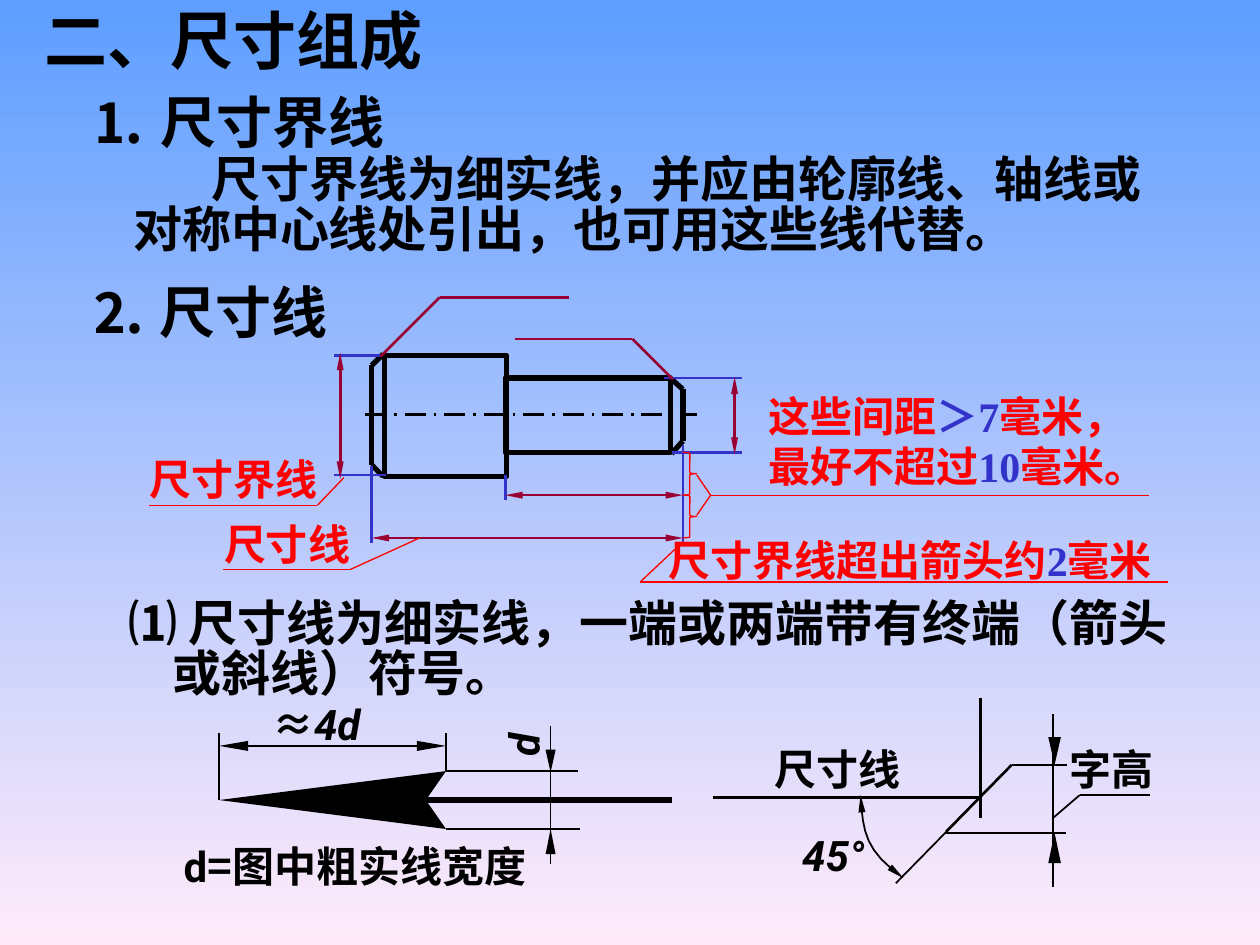
"""Build the slide on dimension lines in technical drawing."""
import itertools
from dataclasses import dataclass

import pptx
import pptx.dml.color
import pptx.enum.dml
import pptx.enum.shapes
import pptx.enum.text
import pptx.oxml
import pptx.oxml.ns
import pptx.util
from lxml import etree

COLS, ROWS = 100, 75
CELL = pptx.util.Inches(10) // COLS
SHAPE = pptx.enum.shapes.MSO_SHAPE
ALIGN = pptx.enum.text.PP_ALIGN
ANCHOR = pptx.enum.text.MSO_ANCHOR
qn = pptx.oxml.ns.qn


@dataclass(frozen=True)
class Theme:
    """Colours, fonts and type sizes."""
    sky: str = "5E9EFF"
    blush: str = "FFEBFA"
    ink: str = "000000"
    note: str = "FF0000"
    extension: str = "3333CC"
    dimension: str = "990033"
    sans: str = "Roboto"
    cjk: str = "Noto Sans CJK SC"
    serif: str = "Times New Roman"
    title: int = 36
    heading: int = 32
    body: int = 28
    label: int = 24
    thin: float = 0.75
    fine: float = 1
    medium: float = 1.5
    thick: float = 3


T = Theme()


def rgb(color):
    """Turn a hex string into a colour."""
    return pptx.dml.color.RGBColor.from_string(color)


def cells(*values):
    """Turn grid units into lengths."""
    return [round(v * CELL) for v in values]


def write(sp, paras, size=T.label, font=T.sans, color=T.ink, italic=False, align=ALIGN.LEFT,
          anchor=ANCHOR.MIDDLE, wrap=False, inset=True, spacing=None, indents=()):
    """Put paragraphs of (text, overrides) runs into a shape."""
    tf = sp.text_frame
    tf.auto_size = pptx.enum.text.MSO_AUTO_SIZE.NONE
    tf.word_wrap, tf.vertical_anchor = wrap, anchor
    tf.margin_left = tf.margin_right = cells(inset)[0]
    tf.margin_top = tf.margin_bottom = cells(inset / 2)[0]
    if isinstance(paras, str):
        paras = [[(paras, {})]]
    for i, (runs, indent) in enumerate(itertools.zip_longest(paras, indents, fillvalue=0)):
        p = tf.paragraphs[0] if i == 0 else tf.add_paragraph()
        p.alignment, p.line_spacing = align, spacing
        if indent:
            pPr = p._p.get_or_add_pPr()
            pPr.set("marL", "0")
            pPr.set("indent", str(cells(indent)[0]))
        for text, extra in runs:
            r = p.add_run()
            r.text = text
            r.font.size, r.font.bold = pptx.util.Pt(size), True
            r.font.italic = extra.get("italic", italic)
            r.font.color.rgb = rgb(extra.get("color", color))
            r.font.name = extra.get("font", font)
            ea = etree.SubElement(r._r.get_or_add_rPr(), qn("a:ea"))
            ea.set("typeface", T.cjk)


def label(s, box, paras, rotation=0, **fmt):
    """Add a text box at a grid box."""
    sp = s.shapes.add_textbox(*cells(*box))
    sp.rotation = rotation
    write(sp, paras, **fmt)


def stroke(sp, color, width, dash=None, arrows=False):
    """Format an outline and its arrowheads."""
    sp.line.color.rgb = rgb(color)
    sp.line.width = pptx.util.Pt(width)
    if dash:
        sp.line.dash_style = dash
    if arrows:
        ln = sp._element.spPr.find(qn("a:ln"))
        for end in ("a:headEnd", "a:tailEnd"):
            etree.SubElement(ln, qn(end), type="triangle", w="sm", len="lg")


def route(s, points, color=T.ink, width=T.fine, **fmt):
    """Join successive grid points with straight connectors."""
    for a, b in itertools.pairwise(points):
        c = s.shapes.add_connector(pptx.enum.shapes.MSO_CONNECTOR.STRAIGHT, *cells(*a, *b))
        stroke(c, color, width, **fmt)
        etree.SubElement(c._element.spPr, qn("a:effectLst"))


def outline(s, kind, box, color, width):
    """Add an unfilled preset shape."""
    sp = s.shapes.add_shape(kind, *cells(*box))
    sp.shadow.inherit = False
    sp.fill.background()
    stroke(sp, color, width)


def freeform(s, points, close):
    """Build a freeform through grid points."""
    fb = s.shapes.build_freeform(*cells(*points[0]))
    fb.add_line_segments([cells(*pt) for pt in points[1:]], close=close)
    sp = fb.convert_to_shape()
    sp.shadow.inherit = False
    return sp


def solid(s, points):
    """Add a filled polygon."""
    sp = freeform(s, points, True)
    sp.fill.solid()
    sp.fill.fore_color.rgb = rgb(T.ink)
    sp.line.fill.background()


def arrowhead(s, tip, dx, dy, half):
    """Add a triangle from its tip back along an axis."""
    x, y = tip[0] + dx, tip[1] + dy
    ox, oy = (0, half) if dx else (half, 0)
    solid(s, [tip, (x - ox, y - oy), (x + ox, y + oy)])


def curve(s, a, b, c, d, steps=8):
    """Add a cubic arc with arrowheads."""
    pts = []
    for i in range(steps + 1):
        t = i / steps
        weights = ((1 - t) ** 3, 3 * t * (1 - t) ** 2, 3 * t * t * (1 - t), t ** 3)
        pts.append(tuple(sum(w * q[k] for w, q in zip(weights, (a, b, c, d))) for k in (0, 1)))
    sp = freeform(s, pts, False)
    sp.fill.background()
    stroke(sp, T.ink, T.fine, arrows=True)


def headings(s):
    """Fill the title and the running text."""
    title = s.shapes.title
    title.left, title.top, title.width, title.height = cells(2.5, -0.4, 40, 7)
    write(title, "二、尺寸组成", size=T.title)
    label(s, (6.3, 6.4, 25.2, 6.4), "⒈ 尺寸界线", size=T.heading, align=ALIGN.CENTER)
    label(s, (6.2, 21.5, 20.8, 6.4), "⒉ 尺寸线", size=T.heading)
    label(s, (9.6, 12, 85.4, 9),
          "尺寸界线为细实线，并应由轮廓线、轴线或对称中心线处引出，也可用这些线代替。",
          size=T.body, wrap=True, spacing=0.85, indents=[6.2])
    label(s, (9.2, 47.2, 93.3, 9),
          [[("⑴ 尺寸线为细实线，一端或两端带有终端（箭头", {})], [("或斜线）符号。", {})]],
          size=T.body, wrap=True, spacing=0.85, indents=[0, 3.5])


def shaft(s):
    """Draw the stepped shaft with its dimensions."""
    route(s, [(29, 32.9), (55.3, 32.9)], width=T.medium,
          dash=pptx.enum.dml.MSO_LINE.LONG_DASH_DOT)
    for box in ((30.5, 28.2, 9.7, 9.6), (40.1, 30, 13.1, 5.9)):
        outline(s, SHAPE.RECTANGLE, box, T.ink, T.thick)
    route(s, [(30.4, 28.1), (29.5, 29), (29.5, 36.9), (30.4, 37.8)], width=T.thick)
    route(s, [(53.3, 30.1), (54.2, 30.9), (54.2, 35), (53.3, 36)], width=T.thick)
    for line in ([(52.7, 30), (58.9, 30)], [(53.3, 35.9), (58.9, 35.9)],
                 [(30.3, 28.2), (26.5, 28.2)], [(30.6, 37.7), (26.5, 37.7)],
                 [(40.1, 37.7), (40.1, 39.7)], [(54.2, 35.3), (54.2, 43.1)],
                 [(29.5, 37), (29.5, 43.1)]):
        route(s, line, T.extension, T.medium)
    for line in ([(27, 28), (27, 38)], [(58.3, 29.9), (58.3, 36.1)],
                 [(40.1, 39.3), (54.2, 39.3)], [(29.5, 42.7), (54.2, 42.7)]):
        route(s, line, T.dimension, T.medium, arrows=True)
    for line in ([(30.2, 28.3), (34.9, 23.6), (45.2, 23.6)],
                 [(53.4, 30.1), (50.2, 26.9), (40.9, 26.9)]):
        route(s, line, T.dimension, T.medium)


def callouts(s):
    """Add the red notes with their leaders."""
    blue = {"color": T.extension}
    fmt = dict(font=T.serif, color=T.note, anchor=ANCHOR.TOP)
    label(s, (60, 30.5, 33.6, 9), [[("这些间距", {}), ("＞7", blue), ("毫米，", {})],
                                   [("最好不超过", {}), ("10", blue), ("毫米。", {})]], **fmt)
    label(s, (10.9, 35.5, 15.3, 5), "尺寸界线", **fmt)
    label(s, (16.8, 40.7, 12, 5), "尺寸线", **fmt)
    label(s, (52.1, 41.9, 41.9, 5),
          [[("尺寸界线超出箭头约", {}), ("2", blue), ("毫米", {})]], **fmt)
    for top in (35.9, 39.3):
        outline(s, SHAPE.RIGHT_BRACE, (54.2, top, 1.1, 3.4), T.note, T.thin)
    for line in ([(55.3, 37.7), (56.4, 39.3), (55.3, 40.9)], [(56.4, 39.3), (91.2, 39.3)],
                 [(27.3, 37.9), (25.2, 40.1), (11.8, 40.1)],
                 [(33.3, 42.7), (27.8, 45.2), (17.7, 45.2)],
                 [(54.2, 43), (50.8, 46.2), (92.7, 46.2)]):
        route(s, line, T.note, T.thin)


def arrow_detail(s):
    """Draw the enlarged arrowhead."""
    for line in ([(35.4, 65.8), (46, 65.8)], [(35.4, 61.2), (45.9, 61.2)],
                 [(17.4, 63.5), (17.4, 58.2)], [(35.4, 61.2), (35.4, 58.2)],
                 [(18.2, 59.2), (34.6, 59.2)], [(43.7, 68.6), (43.7, 57.6)]):
        route(s, line)
    route(s, [(33.7, 63.5), (53.3, 63.5)], width=T.thick)
    solid(s, [(17.4, 63.5), (35.4, 61.2), (33.8, 63.5), (35.4, 65.8)])
    for tip, dx, dy in (((17.4, 59.2), 2.3, 0), ((35.4, 59.2), -2.3, 0),
                        ((43.7, 61.3), 0, -1.8), ((43.7, 65.8), 0, 2)):
        arrowhead(s, tip, dx, dy, 0.4)
    label(s, (19.4, 55.4, 11.4, 4), [[("≈", {"font": T.cjk}), ("4d", {"italic": True})]],
          align=ALIGN.CENTER, anchor=ANCHOR.TOP, wrap=True, inset=False)
    label(s, (39.5, 56.6, 4, 5), "d", rotation=270, italic=True, align=ALIGN.CENTER)
    label(s, (13.6, 66.2, 30.2, 5), [[("d", {}), ("=图中粗实线宽度", {"font": T.cjk})]])


def slash_detail(s):
    """Draw the enlarged oblique stroke."""
    for line in ([(83.6, 70.4), (83.6, 56.7)], [(76.1, 65), (71.1, 70.1)],
                 [(75.1, 66.1), (84.6, 66.1)], [(80.3, 60.7), (84.7, 60.7)],
                 [(83.6, 64.9), (85.7, 63.1), (91.3, 63.1)]):
        route(s, line)
    for line in ([(56.6, 63.3), (77.8, 63.3)], [(75.1, 66), (80.3, 60.7)],
                 [(77.8, 55.4), (77.8, 64.9)]):
        route(s, line, width=T.medium)
    arrowhead(s, (83.7, 60.7), 0, -2.2, 0.5)
    arrowhead(s, (83.7, 66.1), 0, 2.4, 0.5)
    curve(s, (68.3, 63.1), (68.5, 66.2), (68.7, 67.5), (71.7, 69.7))
    label(s, (84.9, 59, 6.7, 4), "字高", font=T.cjk, align=ALIGN.CENTER,
          anchor=ANCHOR.TOP, inset=False)
    label(s, (60.5, 58.5, 12, 5), "尺寸线", font=T.cjk, align=ALIGN.CENTER)
    label(s, (62.6, 65.3, 7.1, 5), "45°", italic=True, align=ALIGN.CENTER)


def main():
    """Build and save the slide."""
    prs = pptx.Presentation()
    prs.slide_width, prs.slide_height = COLS * CELL, ROWS * CELL
    s = prs.slides.add_slide(prs.slide_layouts[5])
    fill = s.background.fill
    fill.gradient()
    fill.gradient_angle = 270
    for stop, color in zip(fill.gradient_stops, (T.sky, T.blush)):
        stop.color.rgb = rgb(color)
    for draw in (headings, shaft, callouts, arrow_detail, slash_detail):
        draw(s)
    prs.save("out.pptx")


if __name__ == "__main__":
    main()
